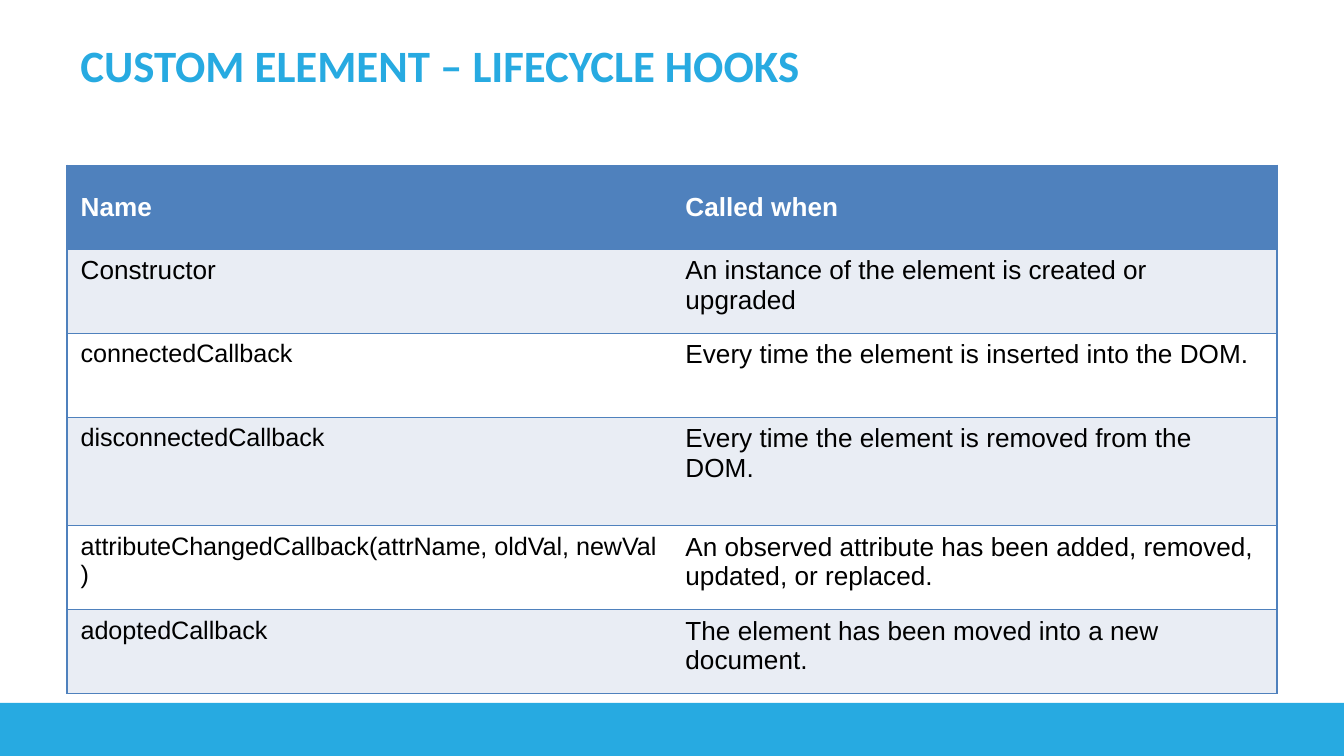
from pptx import Presentation
from pptx.dml.color import RGBColor
from pptx.enum.shapes import MSO_SHAPE
from pptx.enum.text import MSO_ANCHOR
from pptx.oxml.ns import qn
from pptx.util import Inches, Pt
from lxml.etree import SubElement

SKY = RGBColor(0x27, 0xAA, 0xE1)
BLUE = RGBColor(0x4F, 0x81, 0xBD)
PALE = RGBColor(0xE9, 0xED, 0xF4)
WHITE = RGBColor(0xFF, 0xFF, 0xFF)
BLACK = RGBColor(0x00, 0x00, 0x00)

NO_BREAK_SPACE = chr(160)
ATTRIBUTE_HOOK = NO_BREAK_SPACE.join(
    ["attributeChangedCallback(attrName,", "oldVal,", "newVal)"])
HOOKS = [
    ("Name", "Called when"),
    ("Constructor", "An instance of the element is created or upgraded"),
    ("connectedCallback", "Every time the element is inserted into the DOM."),
    ("disconnectedCallback", "Every time the element is removed from the DOM."),
    (ATTRIBUTE_HOOK, "An observed attribute has been added, removed, updated, or replaced."),
    ("adoptedCallback", "The element has been moved into a new document."),
]
TALL_ROW = 3


def style_text(text_frame, font_name, size, color, bold):
    font = text_frame.paragraphs[0].runs[0].font
    font.name = font_name
    font.size = Pt(size)
    font.color.rgb = color
    font.bold = bold


def add_title(slide, text):
    box = slide.shapes.add_textbox(Inches(0.5), Inches(0.23), Inches(6.85), Inches(0.52))
    box.text_frame.word_wrap = True
    box.text_frame.vertical_anchor = MSO_ANCHOR.TOP
    box.text_frame.text = text
    style_text(box.text_frame, "Calibri", 24, SKY, True)


def add_footer_band(slide):
    band = slide.shapes.add_shape(
        MSO_SHAPE.RECTANGLE, Inches(-0.03), Inches(5.23), Inches(10.09), Inches(0.49))
    band.shadow.inherit = False
    band.fill.solid()
    band.fill.fore_color.rgb = SKY
    band.line.fill.background()


def set_borders(cell, widths):
    """Draw left, right, top and bottom borders; a width of 0 means no line."""
    properties = cell._tc.get_or_add_tcPr()
    for side, width in zip("LRTB", widths):
        line = SubElement(properties, qn(f"a:ln{side}"), w=str(Pt(width)))
        if width:
            fill = SubElement(line, qn("a:solidFill"))
            SubElement(fill, qn("a:srgbClr"), val=str(BLUE))
        else:
            SubElement(line, qn("a:noFill"))


def add_hook_table(slide):
    """Add the table; its rows share the height evenly and grow to fit their content."""
    last = len(HOOKS) - 1
    edges = [1] + [0.5] * (last - 1) + [1, 1]
    table = slide.shapes.add_table(
        len(HOOKS), 2, Inches(0.5), Inches(1.23), Inches(9), Inches(3.75)).table
    for row_index, texts in enumerate(HOOKS):
        is_header = row_index == 0
        for column_index, text in enumerate(texts):
            cell = table.cell(row_index, column_index)
            set_borders(cell, (1 - column_index, column_index,
                               edges[row_index], edges[row_index + 1]))
            cell.fill.solid()
            cell.fill.fore_color.rgb = BLUE if is_header else PALE if row_index % 2 else WHITE
            cell.vertical_anchor = MSO_ANCHOR.MIDDLE if is_header else MSO_ANCHOR.TOP
            if row_index == TALL_ROW:
                cell.margin_bottom = Inches(0.29)
            cell.text_frame.text = text
            is_callback = row_index > 1 and column_index == 0
            style_text(cell.text_frame, "Arial", 13.5 if is_callback else 14,
                       WHITE if is_header else BLACK, is_header)


def main():
    presentation = Presentation()
    presentation.slide_width = Inches(10)
    presentation.slide_height = Inches(10) * 9 // 16
    slide = presentation.slides.add_slide(presentation.slide_layouts[6])
    add_footer_band(slide)
    add_title(slide, "CUSTOM ELEMENT – LIFECYCLE HOOKS")
    add_hook_table(slide)
    presentation.save("out.pptx")


if __name__ == "__main__":
    main()
